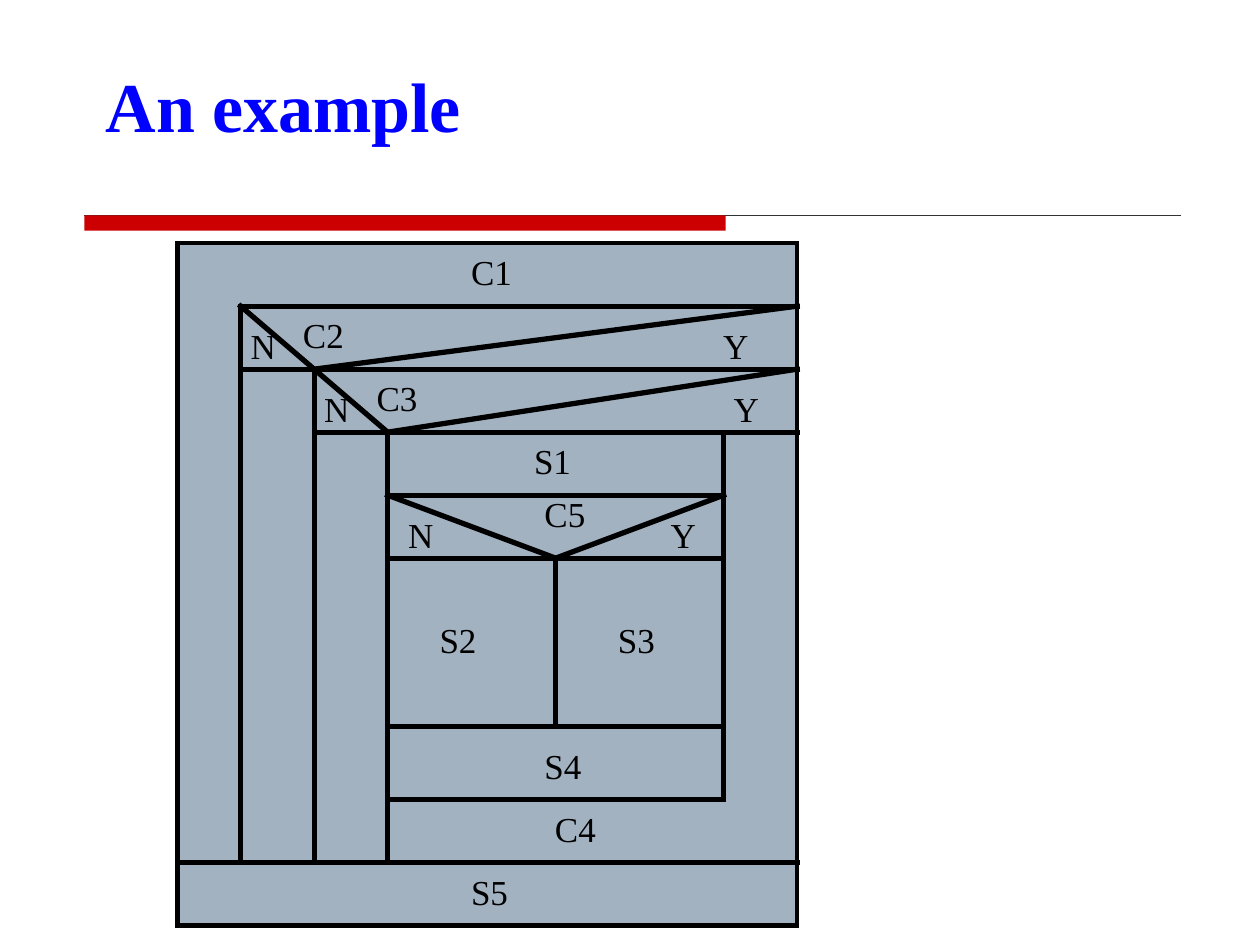
from lxml import etree
from pptx import Presentation
from pptx import util as u
from pptx.dml.color import RGBColor
from pptx.enum import shapes, text
from pptx.oxml.ns import qn

FONT = "Times New Roman"
CELL = 1 / 12  # inches per column or row of the diagram grid

# Grid lines: x1, y1, x2, y2 in columns and rows
RULES = [
    (0, 59, 59, 59), (6, 59, 6, 6), (6, 6, 59, 6), (6, 12, 59, 12),
    (13, 12, 13, 59), (13, 18, 59, 18), (6, 6, 20, 18), (20, 18, 20, 59),
    (20, 53, 52, 53), (52, 53, 52, 18), (20, 24, 52, 24), (20, 46, 52, 46),
    (20, 30, 52, 30), (36, 30, 36, 46), (20, 24, 36, 30), (36, 30, 52, 24),
    (13, 12, 59, 6), (20, 18, 59, 12),
]
# Labels: text, column, row
LABELS = [
    ("C1", 27, 0), ("C4", 35, 53), ("C5", 34, 23), ("N", 21, 25), ("Y", 46, 25),
    ("S1", 33, 18), ("S4", 34, 47), ("S2", 24, 35), ("S3", 41, 35), ("S5", 27, 59),
    ("N", 6, 7), ("N", 13, 13), ("Y", 51, 7), ("Y", 52, 13), ("C2", 11, 6), ("C3", 18, 12),
]
LABEL_WIDTHS = {"C": 0.53, "S": 0.5, "N": 0.41, "Y": 0.41}


def color(value):
    return RGBColor.from_string(value)


def add_text(parent, words, left, top, width, height, size=20, fill="000000", bold=False):
    box = parent.shapes.add_textbox(*map(u.Inches, (left, top, width, height)))
    box.text_frame.word_wrap = False
    box.text_frame.auto_size = text.MSO_AUTO_SIZE.SHAPE_TO_FIT_TEXT
    span = box.text_frame.paragraphs[0].add_run()
    span.text = words
    span.font.name, span.font.size, span.font.bold = FONT, u.Pt(size), bold
    span.font.color.rgb = color(fill)


def add_line(parent, x1, y1, x2, y2, width=3, stroke="000000", cap="sq"):
    line = parent.shapes.add_connector(
        shapes.MSO_CONNECTOR.STRAIGHT, *map(u.Inches, (x1, y1, x2, y2)))
    line.line.width = u.Pt(width)
    line.line.color.rgb = color(stroke)
    line.get_or_add_ln().set("cap", cap)
    etree.SubElement(line._element.spPr, qn("a:effectLst"))


def add_rectangle(parent, left, top, width, height, fill, border=None):
    box = parent.shapes.add_shape(
        shapes.MSO_SHAPE.RECTANGLE, *map(u.Inches, (left, top, width, height)))
    box.shadow.inherit = False
    box.fill.solid()
    box.fill.fore_color.rgb = color(fill)
    if border:
        box.line.width = u.Pt(border)
        box.line.color.rgb = color("000000")
        etree.SubElement(box.get_or_add_ln(), qn("a:miter"), lim="800000")
    else:
        box.line.fill.background()


def add_header(page, left, top, width):
    """Title above a divider that is thick and red at its start."""
    divider = top + 1.26
    add_line(page, left, divider, left + width, divider, 0.75, "333333", "flat")
    add_rectangle(page, left, divider, width * 0.585, 0.12, "CC0000")
    add_text(page, "An example", left + 0.07, top, 3.04, 0.77, 40, "0000FF", True)


def add_structure_chart(page, left, top):
    """Nassi-Shneiderman diagram on a grid of 59 columns and 65 rows."""
    group = page.shapes.add_group_shape()
    add_rectangle(group, left, top, 59 * CELL, 65 * CELL, "A3B2C1", 2.5)
    for x1, y1, x2, y2 in RULES:
        add_line(group, left + x1 * CELL, top + y1 * CELL, left + x2 * CELL, top + y2 * CELL)
    for words, column, row in LABELS:
        add_text(group, words, left + column * CELL - 0.02, top + row * CELL + 0.01,
                 LABEL_WIDTHS[words[0]], 0.43)


def main():
    deck = Presentation()
    deck.slide_width, deck.slide_height = u.Inches(10), u.Inches(7.5)
    page = deck.slides.add_slide(deck.slide_layouts[6])
    add_header(page, 0.67, 0.45, 8.7)
    add_structure_chart(page, 1.41, 1.93)
    deck.save("out.pptx")


if __name__ == "__main__":
    main()
